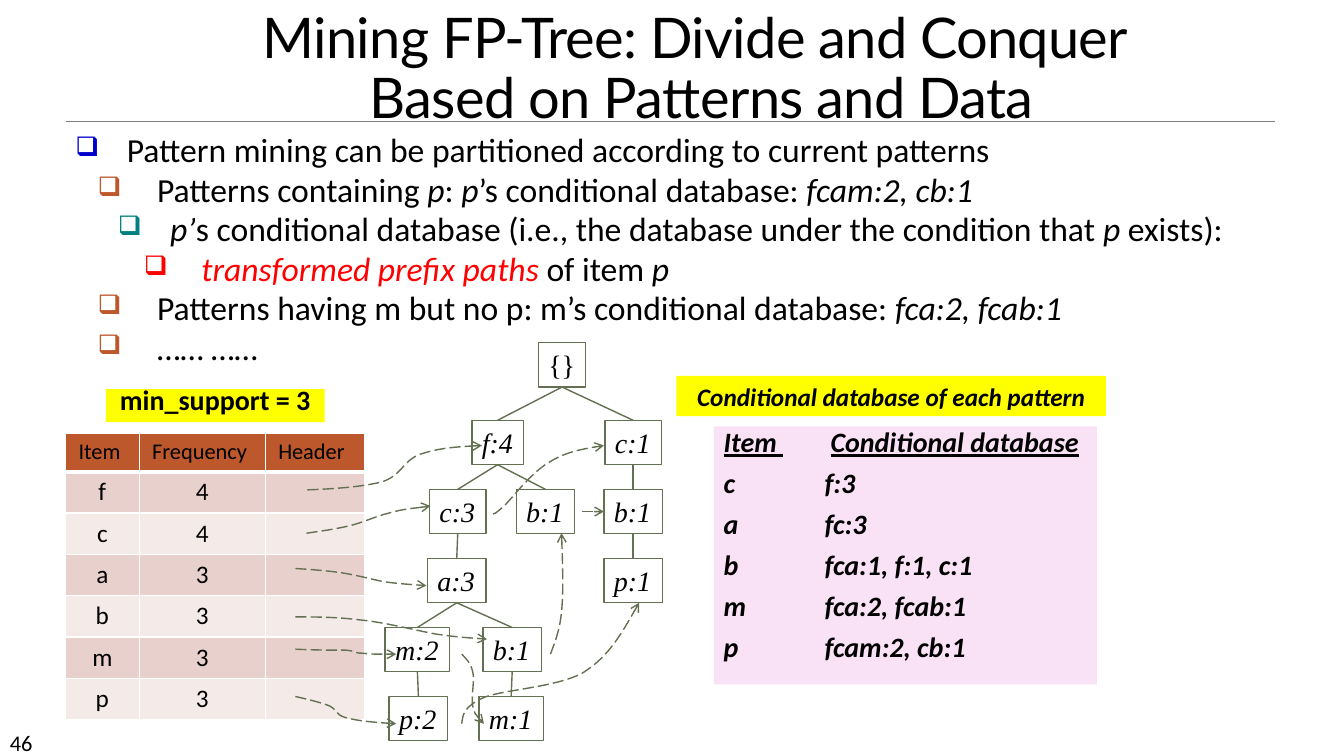
from itertools import product

from lxml import etree
from pptx import Presentation
from pptx.dml.color import RGBColor
from pptx.enum.dml import MSO_LINE
from pptx.enum.shapes import MSO_CONNECTOR, MSO_SHAPE
from pptx.enum.text import MSO_ANCHOR, MSO_AUTO_SIZE, PP_ALIGN
from pptx.oxml.ns import qn
from pptx.util import Inches, Pt

STRAIGHT, RECTANGLE = MSO_CONNECTOR.STRAIGHT, MSO_SHAPE.RECTANGLE
LONG_DASH = MSO_LINE.LONG_DASH
LEFT, CENTER = PP_ALIGN.LEFT, PP_ALIGN.CENTER
TOP, BOTTOM = MSO_ANCHOR.TOP, MSO_ANCHOR.BOTTOM
GROW = MSO_AUTO_SIZE.SHAPE_TO_FIT_TEXT
BOTTOM_SIDE, TOP_SIDE, LEFT_SIDE = 2, 0, 1

THEME = {
    "ink": "000000", "tree": "637052", "rule": "808080", "yellow": "FFFF00",
    "pink": "FAE2F6", "header": "BD582C", "bands": ("F4EAE8", "E8D1CD"),
    "border": "FFFFFF", "red": "FF0000",
    "bullets": ("0000CC", "BD582C", "008080", "FF0000"),
    "title": {"name": "Lato", "size": Pt(40)},
    "body": {"name": "Calibri", "size": Pt(24)},
    "node": {"name": "Times New Roman", "size": Pt(20)},
    "label": {"name": "Calibri", "size": Pt(20), "bold": True},
    "caption": {"name": "Calibri", "size": Pt(18), "bold": True, "italic": True},
    "head_cell": {"name": "Calibri", "size": Pt(16), "bold": False},
    "cell": {"name": "Calibri", "size": Pt(18), "bold": False},
    "number": {"name": "Calibri", "size": Pt(16)},
}


def add_span(para, text, formats, color=THEME["ink"]):
    """Append a run whose font takes the given format values."""
    span = para.add_run()
    span.text = text
    for key, value in formats.items():
        setattr(span.font, key, value)
    span.font.color.rgb = RGBColor.from_string(color)
    return span


def draw_line(shape, color=THEME["tree"], width=1, arrow=False):
    """Stroke a shape or connector, without shadow; arrows are dashed."""
    shape.line.color.rgb = RGBColor.from_string(color)
    shape.line.width = Pt(width)
    properties = shape._element.spPr
    if arrow:
        shape.line.dash_style = LONG_DASH
        etree.SubElement(properties.find(qn("a:ln")), qn("a:tailEnd"), type="arrow")
    if properties.find(qn("a:effectLst")) is None:
        etree.SubElement(properties, qn("a:effectLst"))


deck = Presentation()
deck.slide_width, deck.slide_height = Inches(13.33), Inches(7.5)
page = deck.slides.add_slide(deck.slide_layouts[6])
shapes = page.shapes

# Rule under the title
draw_line(shapes.add_connector(STRAIGHT, Inches(0.65), Inches(1.2), Inches(12.65),
                               Inches(1.2)), THEME["rule"], 0.5)

# Page number
box = shapes.add_textbox(0, Inches(7.18), Inches(1.17), Inches(0.3))
add_span(box.text_frame.paragraphs[0], "46", THEME["number"])

# Title
box = shapes.add_textbox(Inches(1.52), Inches(-0.09), Inches(10.88), Inches(1.44))
box.text_frame.word_wrap = True
box.text_frame.vertical_anchor = BOTTOM
para = box.text_frame.paragraphs[0]
para.alignment, para.line_spacing = CENTER, 0.9
for index, text in enumerate(("Mining FP-Tree: Divide and Conquer ",
                              "Based on Patterns and Data")):
    if index:
        para.add_line_break()
    span = add_span(para, text, THEME["title"])
    span._r.get_or_add_rPr().set("spc", "-50")

# Outline: level, then spans of which every second one is italic
outline = [
    (0, ["Pattern mining can be partitioned according to current patterns"]),
    (1, ["Patterns containing ", "p", ": ", "p", "’s conditional database: ",
         "fcam:2, cb:1"]),
    (2, ["", "p’", "s conditional database (i.e., the database under the condition that ",
         "p", " exists):"]),
    (3, ["", "transformed prefix paths ", "of item ", "p"]),
    (1, ["Patterns having m but no p: m’s conditional database: ", "fca:2, fcab:1"]),
    (1, ["…… ……"]),
]
indents = [(0.51, -0.51), (0.81, -0.59), (0.94, -0.52), (1.25, -0.57)]
box = shapes.add_textbox(Inches(0.65), Inches(1.25), Inches(11.67), Inches(2.47))
frame = box.text_frame
frame.word_wrap = True
for index, (level, spans) in enumerate(outline):
    para = frame.add_paragraph() if index else frame.paragraphs[0]
    para.level, para.line_spacing = level, 0.98
    properties = para._p.get_or_add_pPr()
    for key, value in zip(("marL", "indent"), indents[level]):
        properties.set(key, str(Inches(value)))
    bullet_color = etree.SubElement(properties, qn("a:buClr"))
    etree.SubElement(bullet_color, qn("a:srgbClr"), val=THEME["bullets"][level])
    etree.SubElement(properties, qn("a:buSzPct"), val="80000")
    etree.SubElement(properties, qn("a:buChar"), char="❑")
    for position, text in enumerate(spans):
        if text:
            color = THEME["red"] if text.startswith("transformed") else THEME["ink"]
            add_span(para, text, THEME["body"] | {"italic": position % 2 == 1}, color)

# Header table
items = [("Item", "Frequency", "Header"), ("f", "4", ""), ("c", "4", ""), ("a", "3", ""),
         ("b", "3", ""), ("m", "3", ""), ("p", "3", "")]
table = shapes.add_table(len(items), 3, Inches(0.65), Inches(4.3), Inches(2.97),
                         Inches(2.84)).table
for column, width in zip(table.columns, (0.73, 1.25, 0.99)):
    column.width = Inches(width)
for index, row in enumerate(table.rows):
    row.height = Inches(0.41 if index else 0.38)
for row, column in product(range(len(items)), range(3)):
    cell = table.cell(row, column)
    cell.margin_left = cell.margin_right = Inches(0.13)
    for side in ("lnL", "lnR", "lnT", "lnB"):
        thick = (row == 0 and side == "lnB") or (row == 1 and side == "lnT")
        border = etree.SubElement(cell._tc.get_or_add_tcPr(), qn("a:" + side),
                                  w=str(Pt(3 if thick else 1)))
        fill = etree.SubElement(border, qn("a:solidFill"))
        etree.SubElement(fill, qn("a:srgbClr"), val=THEME["border"])
    cell.fill.solid()
    cell.fill.fore_color.rgb = RGBColor.from_string(
        THEME["bands"][row % 2] if row else THEME["header"])
    para = cell.text_frame.paragraphs[0]
    para.alignment = CENTER if row else LEFT
    if items[row][column]:
        add_span(para, items[row][column], THEME["cell" if row else "head_cell"])

# Tree nodes: label, left, tier, width
nodes = {
    "root": ("{}", 5.34, 0, 0.47), "f4": ("f:4", 4.68, 1, 0.51),
    "c1": ("c:1", 6, 1, 0.56), "c3": ("c:3", 4.26, 2, 0.56),
    "b_mid": ("b:1", 5.12, 2, 0.58), "b_right": ("b:1", 5.99, 2, 0.58),
    "a3": ("a:3", 4.24, 3, 0.58), "p1": ("p:1", 5.99, 3, 0.58),
    "m2": ("m:2", 3.82, 4, 0.64), "b_low": ("b:1", 4.79, 4, 0.58),
    "p2": ("p:2", 3.86, 5, 0.58), "m1": ("m:1", 4.75, 5, 0.64),
}
boxes = {}
for name, (label, left, tier, width) in nodes.items():
    top = 4.17 + 0.685 * (tier - 1) if tier else 3.4
    box = shapes.add_shape(RECTANGLE, Inches(left), Inches(top), Inches(width), Inches(0.44))
    box.fill.background()
    draw_line(box)
    frame = box.text_frame
    frame.word_wrap, frame.auto_size, frame.vertical_anchor = False, GROW, TOP
    frame.paragraphs[0].alignment = LEFT
    add_span(frame.paragraphs[0], label, THEME["node"] | {"italic": tier > 0})
    boxes[name] = box

# Tree edges
for parent, child in [("root", "f4"), ("root", "c1"), ("f4", "c3"), ("f4", "b_mid"),
                      ("c1", "b_right"), ("b_right", "p1"), ("c3", "a3"), ("a3", "m2"),
                      ("a3", "b_low"), ("m2", "p2"), ("b_low", "m1")]:
    edge = shapes.add_connector(STRAIGHT, 0, 0, 0, 0)
    edge.begin_connect(boxes[parent], BOTTOM_SIDE)
    edge.end_connect(boxes[child], TOP_SIDE)
    draw_line(edge)

# Node links: a start point, then three Bezier points per bend
links = [
    [(3.05, 4.86), (3.32, 4.85), (3.6, 4.83), (3.79, 4.78), (3.98, 4.72), (4, 4.57),
     (4.16, 4.51), (4.33, 4.45), (4.55, 4.43), (4.78, 4.42)],
    [(4.89, 5.1), (4.9, 5.1), (4.91, 5.1), (5, 5.02), (5.09, 4.93), (5.27, 4.69),
     (5.44, 4.59), (5.6, 4.49), (5.79, 4.45), (5.99, 4.42)],
    [(2.93, 5.64), (3.08, 5.65), (3.22, 5.66), (3.37, 5.68), (3.51, 5.7), (3.66, 5.74),
     (3.8, 5.77), (3.94, 5.79), (4.09, 5.8), (4.23, 5.81)],
    [(2.93, 6.12), (3.13, 6.12), (3.33, 6.12), (3.57, 6.15), (3.8, 6.17), (4.11, 6.25),
     (4.32, 6.29), (4.53, 6.32), (4.68, 6.33), (4.83, 6.34)],
    [(5.46, 6.49), (5.5, 6.38), (5.55, 6.27), (5.57, 6.07), (5.59, 5.87), (5.58, 5.58),
     (5.57, 5.29)],
    [(2.93, 6.44), (3.13, 6.45), (3.32, 6.45), (3.43, 6.45), (3.54, 6.46), (3.51, 6.48),
     (3.59, 6.48), (3.68, 6.49), (3.8, 6.49), (3.93, 6.49)],
    [(4.58, 6.49), (4.63, 6.54), (4.67, 6.58), (4.69, 6.67), (4.71, 6.75), (4.67, 6.92),
     (4.69, 7.01), (4.71, 7.09), (4.76, 7.14), (4.8, 7.18)],
    [(2.93, 6.91), (3.06, 6.94), (3.18, 6.97), (3.26, 7), (3.35, 7.04), (3.32, 7.09),
     (3.43, 7.12), (3.54, 7.15), (3.73, 7.17), (3.93, 7.18)],
    [(4.58, 7.18), (4.59, 7.09), (4.6, 7.01), (4.8, 6.92), (5, 6.84), (5.53, 6.82),
     (5.79, 6.67), (6.04, 6.51), (6.19, 6.24), (6.34, 5.98)],
    [(3.04, 5.29), (3.18, 5.27), (3.32, 5.25), (3.45, 5.22), (3.59, 5.19), (3.73, 5.12),
     (3.86, 5.09), (4, 5.05), (4.14, 5.04), (4.27, 5.02)],
]
for link in links:
    start, *rest = [(Inches(x), Inches(y)) for x, y in link]
    builder = shapes.build_freeform(*start)
    builder.add_line_segments(rest, close=False)
    curve = builder.convert_to_shape()
    outline_xml = next(curve._element.iter(qn("a:path")))
    for index, segment in enumerate(outline_xml.findall(qn("a:lnTo"))):
        if index % 3 == 0:
            bend = etree.SubElement(outline_xml, qn("a:cubicBezTo"))
        bend.append(segment[0])
        outline_xml.remove(segment)
    curve.fill.background()
    draw_line(curve, arrow=True)
target = boxes["b_right"]
link = shapes.add_connector(STRAIGHT, Inches(5.77), target.top + target.height // 2, 0, 0)
link.end_connect(target, LEFT_SIDE)
draw_line(link, arrow=True)

# Coloured panels: place, fill, format, line spacing, alignment, rows of text
databases = ["c\tf:3", "a\tfc:3", "b\tfca:1, f:1, c:1", "m\tfca:2, fcab:1", "p\tfcam:2, cb:1"]
panels = [
    ((7.08, 4.23, 3.8, 2.56), "pink", THEME["label"] | {"italic": True}, 0.8, LEFT,
     ["Item \tConditional database"] + databases),
    ((6.71, 3.73, 4.26, 0.4), "yellow", THEME["caption"], 1.0, CENTER,
     ["Conditional database of each pattern"]),
    ((1.05, 3.86, 2.17, 0.33), "yellow", THEME["label"], 0.6, CENTER, ["min_support = 3"]),
]
for place, fill, formats, spacing, alignment, rows in panels:
    box = shapes.add_shape(RECTANGLE, *map(Inches, place))
    box.shadow.inherit = False
    box.fill.solid()
    box.fill.fore_color.rgb = RGBColor.from_string(THEME[fill])
    box.line.fill.background()
    frame = box.text_frame
    frame.word_wrap, frame.vertical_anchor = True, TOP
    for index, text in enumerate(rows):
        para = frame.add_paragraph() if index else frame.paragraphs[0]
        para.alignment, para.line_spacing = alignment, spacing
        if index:
            para.space_before = Pt(10)
        heading = index == 0 and "\t" in text
        if "\t" in text:
            stops = etree.SubElement(para._p.get_or_add_pPr(), qn("a:tabLst"))
            etree.SubElement(stops, qn("a:tab"), algn="l",
                             pos=str(Inches(1.06 if heading else 1)))
        for part in text.partition("\t"):
            if part:
                add_span(para, part, formats | {"underline": heading and part != "\t"})

deck.save("out.pptx")
